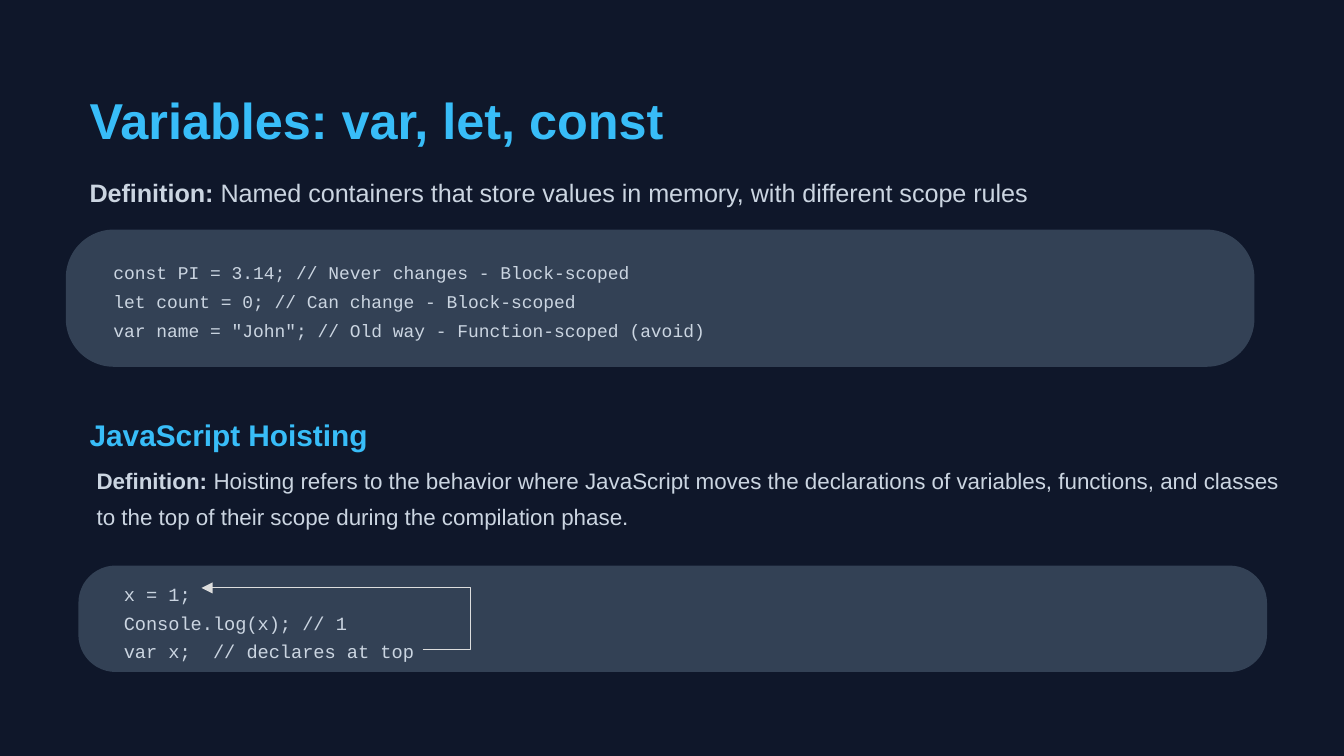
from lxml import etree
from pptx import Presentation
from pptx.dml.color import RGBColor
from pptx.enum.shapes import MSO_CONNECTOR, MSO_SHAPE
from pptx.enum.text import MSO_AUTO_SIZE
from pptx.oxml.ns import qn
from pptx.util import Pt

ROUND = MSO_SHAPE.ROUNDED_RECTANGLE
ELBOW = MSO_CONNECTOR.ELBOW
GROW = MSO_AUTO_SIZE.SHAPE_TO_FIT_TEXT
FIXED = MSO_AUTO_SIZE.NONE

NAVY = RGBColor(0x0F, 0x17, 0x2A)
SLATE = RGBColor(0x33, 0x41, 0x55)
SKY = RGBColor(0x38, 0xBD, 0xF8)
PALE = RGBColor(0xCB, 0xD5, 0xE1)
GRAY = RGBColor(0xDD, 0xDD, 0xDD)

SCALE = 9525
WIDE = 849
SANS = "Arial"
MONO = "Courier New"


def px(size):
    return size * SCALE


def write(para, text, font=SANS, size=12, color=PALE, bold=False):
    run = para.add_run()
    run.text = text
    run.font.name = font
    run.font.size = Pt(size)
    run.font.bold = bold
    run.font.color.rgb = color


class Deck:
    def __init__(self, wide, high):
        self.show = Presentation()
        self.show.slide_width = px(wide)
        self.show.slide_height = px(high)
        self.slide = self.show.slides.add_slide(self.show.slide_layouts[6])
        fill = self.slide.background.fill
        fill.solid()
        fill.fore_color.rgb = NAVY

    def frame(self, x, y, w, h, inset=False, fit=FIXED):
        frame = self.slide.shapes.add_textbox(px(x), px(y), px(w), px(h)).text_frame
        frame.word_wrap = True
        frame.auto_size = fit
        if not inset:
            frame.margin_left = frame.margin_right = 0
            frame.margin_top = frame.margin_bottom = 0
        return frame

    def title(self, x, y, text, size):
        para = self.frame(x, y, WIDE, 43).paragraphs[0]
        para.line_spacing = Pt(32.4)
        write(para, text, size=size, color=SKY, bold=True)

    def define(self, x, y, h, text, size):
        para = self.frame(x, y, WIDE, h).paragraphs[0]
        para.line_spacing = Pt(18.9)
        write(para, "Definition:", size=size, bold=True)
        write(para, " " + text, size=size)

    def code(self, x, y, w, h, lines, size, **style):
        frame = self.frame(x, y, w, h, **style)
        for i, line in enumerate(lines):
            para = frame.add_paragraph() if i else frame.paragraphs[0]
            para.line_spacing = Pt(15.4)
            write(para, line, font=MONO, size=size)

    def panel(self, x, y, h):
        box = self.slide.shapes.add_shape(ROUND, px(x), px(y), px(WIDE), px(h))
        box.adjustments[0] = 0.35
        box.shadow.inherit = False
        box.fill.solid()
        box.fill.fore_color.rgb = SLATE
        box.line.fill.background()

    def arrow(self, x1, y1, x2, y2, bend):
        link = self.slide.shapes.add_connector(ELBOW, px(x1), px(y1), px(x2), px(y2))
        link.line.color.rgb = GRAY
        link.line.width = Pt(0.5)
        props = link.element.spPr
        stops = props.find(qn("a:prstGeom")).get_or_add_avLst()
        etree.SubElement(stops, qn("a:gd"), name="adj1", fmla=f"val {bend}")
        etree.SubElement(props.find(qn("a:ln")), qn("a:tailEnd"), type="triangle")
        etree.SubElement(props, qn("a:effectLst"))


def main():
    deck = Deck(960, 540)
    deck.panel(47, 164, 98)
    deck.title(64, 64, "Variables: var, let, const", 27)
    deck.define(64, 123, 25,
                "Named containers that store values in memory, with different scope rules",
                13.5)
    deck.code(81, 182, 832, 109, [
        "const PI = 3.14; // Never changes - Block-scoped",
        "let count = 0; // Can change - Block-scoped",
        'var name = "John"; // Old way - Function-scoped (avoid)',
    ], 9.6)

    deck.title(64, 280, "JavaScript Hoisting", 16)
    deck.define(69, 328, 93,
                "Hoisting refers to the behavior where JavaScript moves the declarations "
                "of variables, functions, and classes to the top of their scope during "
                "the compilation phase.", 12)
    deck.panel(56, 404, 76)
    deck.code(79, 407, 802, 69, [
        "x = 1;",
        "Console.log(x); // 1",
        "var x;  // declares at top",
    ], 10, inset=True, fit=GROW)
    deck.arrow(302, 464, 144, 420, -21700)
    deck.show.save("out.pptx")


if __name__ == "__main__":
    main()
